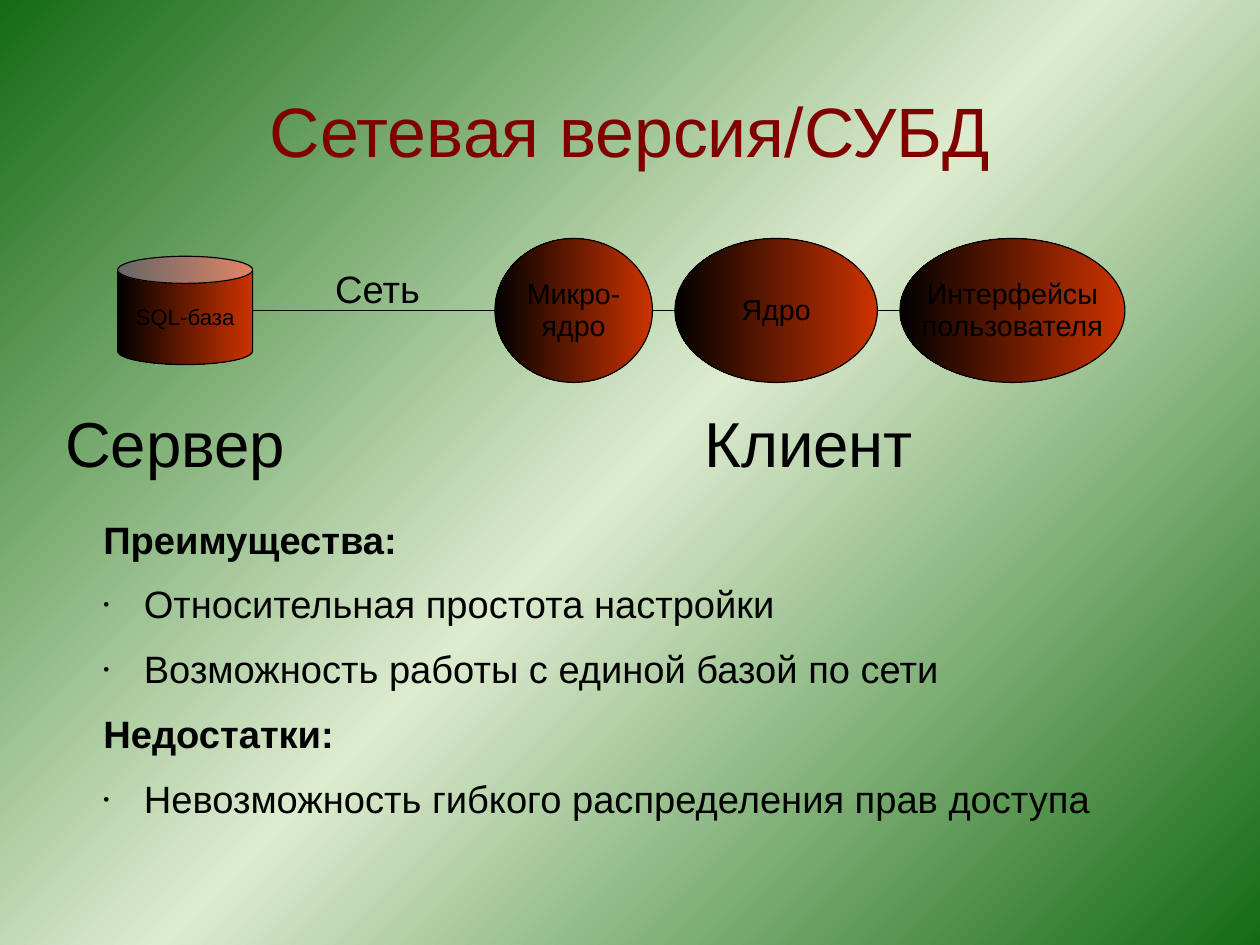
import copy

import lxml.etree
import pptx
import pptx.dml.color
import pptx.enum.shapes
import pptx.enum.text
import pptx.oxml.ns
import pptx.util

Pt = pptx.util.Pt
Shape = pptx.enum.shapes.MSO_SHAPE
Align = pptx.enum.text.PP_ALIGN
Anchor = pptx.enum.text.MSO_ANCHOR
qn = pptx.oxml.ns.qn


def rgb(color):
    return pptx.dml.color.RGBColor.from_string(color)


def write(shape, text, size, color="000000", align=Align.LEFT,
          anchor=Anchor.TOP, wrap=True, insets=(7.2, 4.5, 7.2, 3.6)):
    """Fill a shape with text, one paragraph per line; insets run left, top, right, bottom."""
    frame = shape.text_frame
    frame.text = text
    left, top, right, bottom = map(Pt, insets)
    frame_format = {
        "auto_size": pptx.enum.text.MSO_AUTO_SIZE.NONE,
        "word_wrap": wrap, "vertical_anchor": anchor,
        "margin_left": left, "margin_top": top,
        "margin_right": right, "margin_bottom": bottom,
    }
    for name, value in frame_format.items():
        setattr(frame, name, value)
    paragraph_format = {"alignment": align, "line_spacing": 0.93,
                        "space_before": Pt(0)}
    for paragraph in frame.paragraphs:
        for name, value in paragraph_format.items():
            setattr(paragraph, name, value)
        for run in paragraph.runs:
            run.font.name = "Arial"
            run.font.size = Pt(size)
            run.font.color.rgb = rgb(color)


presentation = pptx.Presentation()
presentation.slide_width = Pt(793.7)
presentation.slide_height = Pt(595.3)
slide = presentation.slides.add_slide(presentation.slide_layouts[1])

# Background: green corners with a light diagonal band
backdrop = slide.background.fill
backdrop.gradient()
backdrop.gradient_angle = 135
stop_list = slide.element.find(".//" + qn("a:gsLst"))
stop_list.append(copy.deepcopy(stop_list[-1]))
for stop, color, position in zip(backdrop.gradient_stops,
                                 ("156B13", "DDEBCF", "156B13"), (0, 0.5, 1)):
    stop.color.rgb = rgb(color)
    stop.position = position

# Title and list
title, pros_and_cons = slide.placeholders
for placeholder, box in ((title, (56.7, 46.1, 680.4, 73.4)),
                         (pros_and_cons, (56.7, 326.2, 666, 232.6))):
    placeholder.left, placeholder.top, placeholder.width, placeholder.height = map(Pt, box)
write(title, "Сетевая версия/СУБД", 44, "800000", Align.CENTER, Anchor.MIDDLE,
      insets=(0, 2.9, 0, 0))

points = (
    "Преимущества:",
    "Относительная простота настройки",
    "Возможность работы с единой базой по сети",
    "Недостатки:",
    "Невозможность гибкого распределения прав доступа",
)
write(pros_and_cons, "\n".join(points), 24, insets=(0, 1.4, 0, 0))
for paragraph in pros_and_cons.text_frame.paragraphs:
    is_heading = paragraph.text.endswith(":")
    paragraph.runs[0].font.bold = is_heading
    paragraph.space_after = Pt(14.1)
    properties = paragraph._p.get_or_add_pPr()
    properties.set("marL", str(Pt(33.9)))
    properties.set("indent", str(Pt(-25.5)))
    if is_heading:
        lxml.etree.SubElement(properties, qn("a:buNone"))
    else:
        bullet_color = lxml.etree.SubElement(properties, qn("a:buClr"))
        lxml.etree.SubElement(bullet_color, qn("a:srgbClr"), val="000000")
        lxml.etree.SubElement(properties, qn("a:buSzPct"), val="45000")
        lxml.etree.SubElement(properties, qn("a:buFont"), typeface="Arial")
        lxml.etree.SubElement(properties, qn("a:buChar"), char="•")

# Chain from server to client, all centred on one axis
axis = 195.6
nodes = (
    (Shape.CAN, "SQL-база", 14, 74.1, 85, 68.2),
    (Shape.OVAL, "Микро-\nядро", 18, 311.8, 99.2, 90.7),
    (Shape.OVAL, "Ядро", 18, 425.2, 127.5, 90.7),
    (Shape.OVAL, "Интерфейсы\nпользователя", 18, 566.9, 141.7, 90.7),
)
for kind, label, size, left, width, height in nodes:
    node = slide.shapes.add_shape(kind, Pt(left), Pt(axis - height / 2),
                                  Pt(width), Pt(height))
    node.shadow.inherit = False
    node.fill.gradient()
    node.fill.gradient_angle = 180
    for stop, color, position in zip(node.fill.gradient_stops,
                                     ("CC3300", "000000"), (0, 1)):
        stop.color.rgb = rgb(color)
        stop.position = position
    node.line.color.rgb = rgb("000000")
    node.line.width = Pt(0.75)
    write(node, label, size, align=Align.CENTER, anchor=Anchor.MIDDLE, wrap=False)

for source, target in zip(nodes, nodes[1:]):
    link = slide.shapes.add_connector(
        pptx.enum.shapes.MSO_CONNECTOR.STRAIGHT,
        Pt(source[3] + source[4]), Pt(axis), Pt(target[3]), Pt(axis))
    link.line.color.rgb = rgb("000000")
    link.line.width = Pt(0.75)
    lxml.etree.SubElement(link._element.spPr, qn("a:effectLst"))

# Captions
captions = (
    ("Клиент", 40, True, 6.5, (436.5, 252, 170, 51.8)),
    ("Сервер", 40, True, 6.5, (34, 252, 170, 51.8)),
    ("Сеть", 24, False, 5.4, (204.1, 164.4, 83.5, 33.8)),
)
for text, size, wrap, top_inset, box in captions:
    caption = slide.shapes.add_textbox(*map(Pt, box))
    write(caption, text, size, wrap=wrap, insets=(7.2, top_inset, 7.2, 3.6))

presentation.save("out.pptx")
